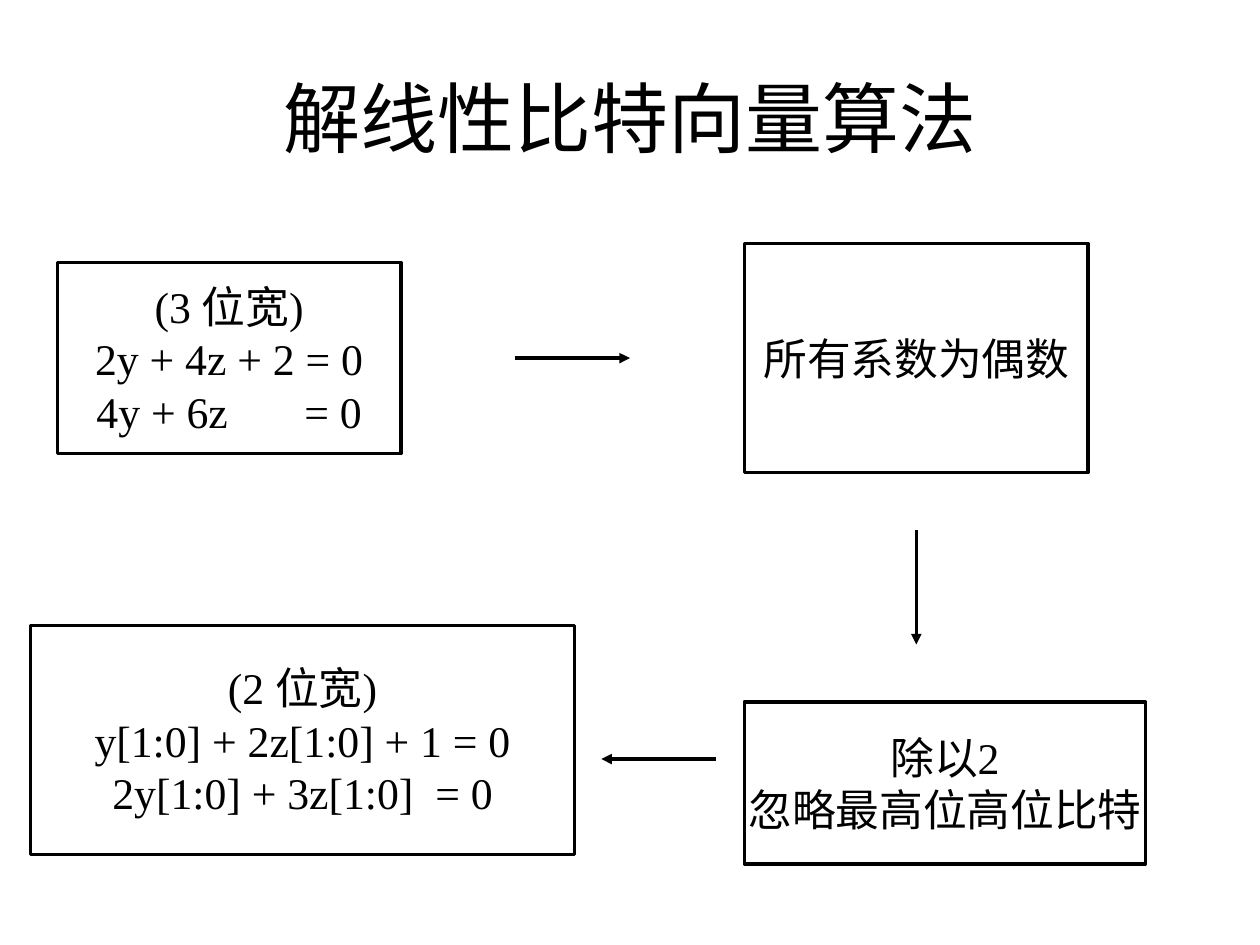
from lxml import etree
from pptx import Presentation
from pptx.dml.color import RGBColor
from pptx.enum.shapes import MSO_CONNECTOR, MSO_SHAPE
from pptx.enum.text import MSO_ANCHOR, PP_ALIGN
from pptx.oxml.ns import qn
from pptx.util import Inches, Pt

RECTANGLE = MSO_SHAPE.RECTANGLE
STRAIGHT = MSO_CONNECTOR.STRAIGHT
MIDDLE = MSO_ANCHOR.MIDDLE
CENTER = PP_ALIGN.CENTER


def color(value):
    return RGBColor.from_string(value)


class FlowSlide:
    """Draws a flow chart on a grid of 66 columns with square cells."""

    ink, paper = "000000", "FFFFFF"
    cell, top_margin = 10 / 66, 0.115
    line_width, step_size, title_size = 2, 25, 44
    step_font, title_font = "Times New Roman", "Calibri"

    def __init__(self, presentation):
        self.slide = presentation.slides.add_slide(presentation.slide_layouts[6])
        self.slide.background.fill.solid()
        self.slide.background.fill.fore_color.rgb = color(self.paper)

    def point(self, column, row):
        return Inches(column * self.cell), Inches(row * self.cell + self.top_margin)

    def area(self, column, row, columns, rows):
        size = Inches(columns * self.cell), Inches(rows * self.cell)
        return *self.point(column, row), *size

    def style_line(self, line):
        line.color.rgb = color(self.ink)
        line.width = Pt(self.line_width)

    def style_paragraph(self, paragraph, font, size):
        paragraph.alignment = CENTER
        paragraph.font.name = font
        paragraph.font.size = Pt(size)
        paragraph.font.color.rgb = color(self.ink)

    def title(self, text, *place):
        frame = self.slide.shapes.add_textbox(*self.area(*place)).text_frame
        frame.word_wrap = True
        frame.vertical_anchor = MIDDLE
        frame.text = text
        self.style_paragraph(frame.paragraphs[0], self.title_font, self.title_size)

    def equation(self, paragraph, left, right, gap):
        paragraph.add_run().text = left
        space = paragraph.add_run()
        space.text = " "
        space.font._element.set("spc", str(round(gap * 100)))
        paragraph.add_run().text = right

    def step(self, lines, *place):
        box = self.slide.shapes.add_shape(RECTANGLE, *self.area(*place))
        box.shadow.inherit = False
        box.fill.solid()
        box.fill.fore_color.rgb = color(self.paper)
        self.style_line(box.line)
        frame = box.text_frame
        frame.word_wrap = False
        frame.vertical_anchor = MIDDLE
        frame.margin_left = frame.margin_right = 0
        frame.margin_top = frame.margin_bottom = 0
        for index, line in enumerate(lines):
            paragraph = frame.add_paragraph() if index else frame.paragraphs[0]
            self.style_paragraph(paragraph, self.step_font, self.step_size)
            if isinstance(line, tuple):
                self.equation(paragraph, *line)
            else:
                paragraph.add_run().text = line

    def arrow(self, start, end):
        connector = self.slide.shapes.add_connector(
            STRAIGHT, *self.point(*start), *self.point(*end))
        self.style_line(connector.line)
        properties = connector._element.spPr
        outline = properties.find(qn("a:ln"))
        etree.SubElement(outline, qn("a:tailEnd"), type="triangle")
        etree.SubElement(properties, qn("a:effectLst"))


presentation = Presentation()
presentation.slide_width, presentation.slide_height = Inches(10), Inches(7.5)

flow = FlowSlide(presentation)
flow.title("解线性比特向量算法", 3.3, 1.22, 59.4, 8.25)
flow.step(["(3 位宽)", "2y + 4z + 2 = 0", ("4y + 6z", "= 0", 37.5)], 3, 13, 18, 10)
flow.arrow((27, 18), (33, 18))
flow.step(["所有系数为偶数"], 39, 12, 18, 12)
flow.arrow((48, 27), (48, 33))
flow.step(["除以2", "忽略最高位高位比特"], 39, 36, 21, 8.5)
flow.arrow((37.5, 39), (31.5, 39))
flow.step(["(2 位宽)", "y[1:0] + 2z[1:0] + 1 = 0", ("2y[1:0] + 3z[1:0]", "= 0", 6.25)],
          1.6, 32, 28.5, 12)

presentation.save("out.pptx")
